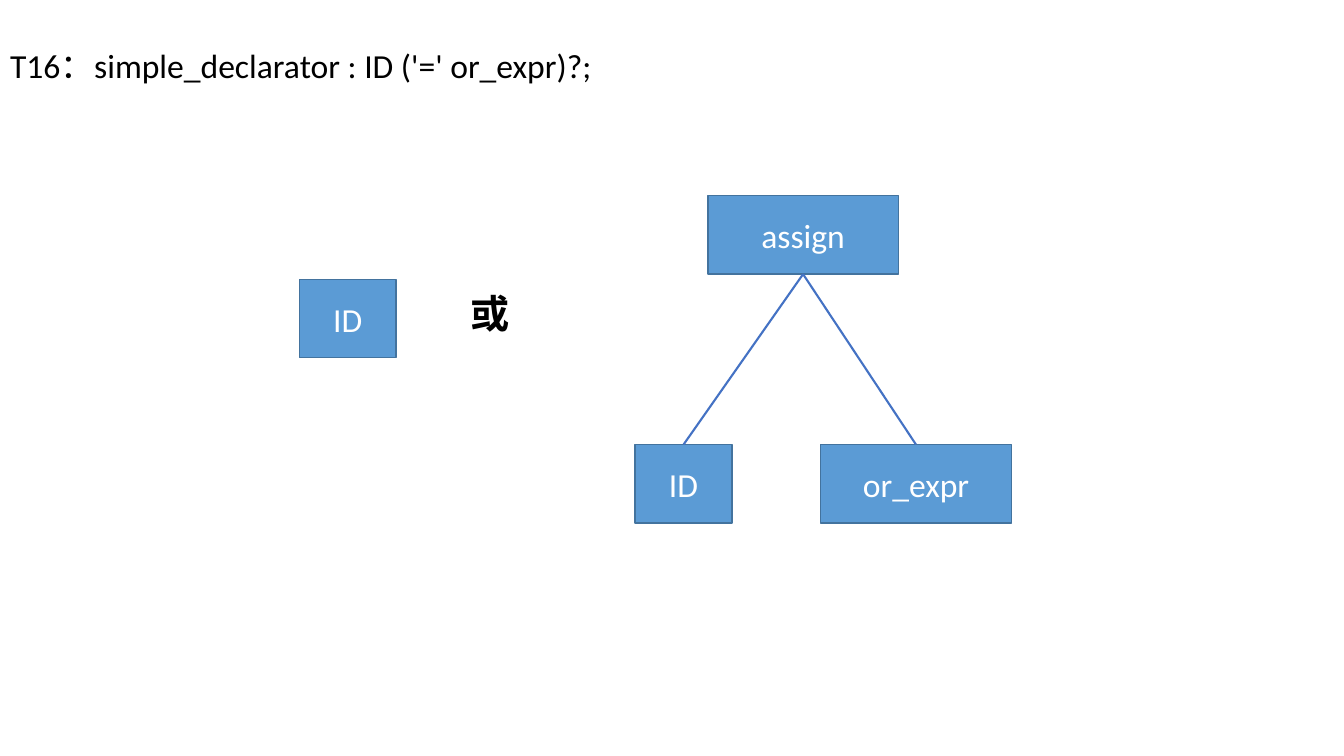
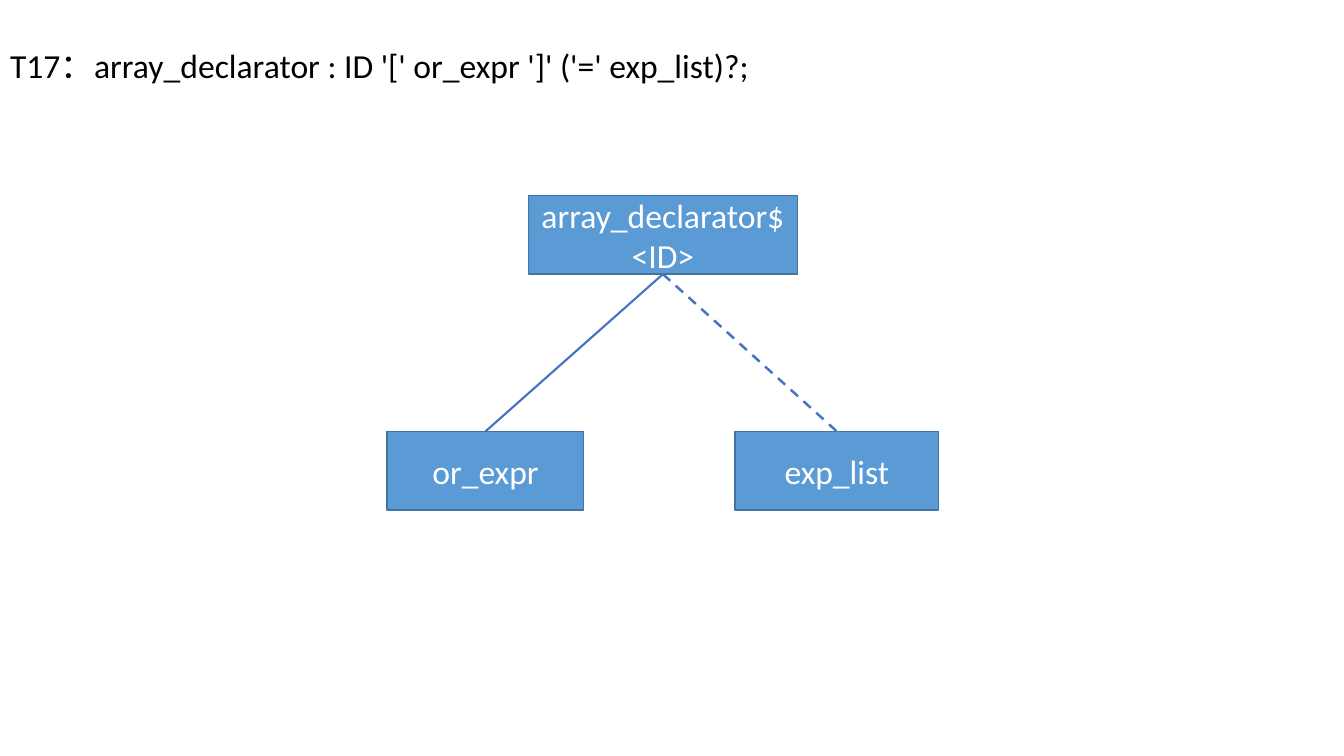
"""Build two slides of syntax-tree diagrams for grammar rules."""
import pptx
import pptx.dml.color
import pptx.enum.dml
import pptx.enum.shapes
import pptx.enum.text
import pptx.oxml
import pptx.oxml.ns
import pptx.util

WIDTH, HEIGHT = 13.33, 7.5
NODE_FILL, NODE_LINE, EDGE = "5B9BD5", "43739E", "4472C4"
BLACK, WHITE = "000000", "FFFFFF"
LATIN, CJK = "Calibri", "Noto Sans CJK SC"
NODE_HEIGHT = 0.78
ROOT_TOP = 1.94
ALIGN = pptx.enum.text.PP_ALIGN
ANCHOR = pptx.enum.text.MSO_ANCHOR


def rgb(value):
    """Return the colour of a hex string."""
    return pptx.dml.color.RGBColor.from_string(value)


def inches(*lengths):
    """Return lengths in inches as a list of EMU lengths."""
    return [pptx.util.Inches(length) for length in lengths]


def write(sp, text, size=24, color=BLACK, font=LATIN, bold=False,
          align=ALIGN.LEFT, anchor=ANCHOR.MIDDLE, wrap=True):
    """Write one formatted paragraph into a shape."""
    tf = sp.text_frame
    tf.word_wrap = wrap
    tf.auto_size = pptx.enum.text.MSO_AUTO_SIZE.NONE
    tf.vertical_anchor = anchor
    p = tf.paragraphs[0]
    p.alignment = align
    r = p.add_run()
    r.text = text
    r.font.size = pptx.util.Pt(size)
    r.font.bold = bold
    r.font.name = font
    r.font.color.rgb = rgb(color)
    ea = pptx.oxml.ns.qn("a:ea")
    r.font._element.makeelement(ea)
    r.font._element.find(pptx.oxml.ns.qn("a:latin")).addnext(
        r.font._element.makeelement(ea, {"typeface": CJK}))


def add_rule_slide(prs, rule):
    """Add a slide titled with a grammar rule."""
    slide = prs.slides.add_slide(prs.slide_layouts[5])
    title = slide.shapes.title
    title.left, title.top, title.width, title.height = inches(
        0, 0.4, 0.65 * WIDTH, 0.5)
    title.fill.solid()
    title.fill.fore_color.rgb = rgb(WHITE)
    title.line.color.rgb = rgb(WHITE)
    title.line.width = pptx.util.Pt(1)
    write(title, rule)
    return slide


def add_node(slide, text, left, top, width):
    """Add a tree node."""
    sp = slide.shapes.add_shape(
        pptx.enum.shapes.MSO_SHAPE.RECTANGLE,
        *inches(left, top, width, NODE_HEIGHT))
    sp.shadow.inherit = False
    sp.fill.solid()
    sp.fill.fore_color.rgb = rgb(NODE_FILL)
    sp.line.color.rgb = rgb(NODE_LINE)
    sp.line.width = pptx.util.Pt(1)
    write(sp, text, color=WHITE, align=ALIGN.CENTER)
    return sp


def add_edge(slide, parent, child, optional=False):
    """Join a parent's bottom to a child's top, dashed if optional."""
    line = slide.shapes.add_connector(
        pptx.enum.shapes.MSO_CONNECTOR.STRAIGHT, 0, 0, 0, 0)
    line.begin_connect(parent, 2)
    line.end_connect(child, 0)
    line.line.color.rgb = rgb(EDGE)
    line.line.width = pptx.util.Pt(1.75 if optional else 1.5)
    if optional:
        line.line.dash_style = pptx.enum.dml.MSO_LINE.DASH
    pr = line._element.spPr
    pr.append(pr.makeelement(pptx.oxml.ns.qn("a:effectLst")))


def add_tree(slide, root, children, child_top):
    """Add a root node with (text, left, width, optional) children."""
    text, left, width = root
    parent = add_node(slide, text, left, ROOT_TOP, width)
    for text, left, width, optional in children:
        child = add_node(slide, text, left, child_top, width)
        add_edge(slide, parent, child, optional)


def add_label(slide, text, left, top, width, height):
    """Add a bold label between alternatives."""
    sp = slide.shapes.add_textbox(*inches(left, top, width, height))
    write(sp, text, size=28, font=CJK, bold=True, anchor=ANCHOR.TOP, wrap=False)


def main():
    """Build and save the presentation."""
    prs = pptx.Presentation()
    prs.slide_width, prs.slide_height = inches(WIDTH, HEIGHT)

    slide = add_rule_slide(prs, "T16：simple_declarator : ID ('=' or_expr)?;")
    add_node(slide, "ID", 2.97, 2.77, 0.96)
    add_label(slide, "或", 4.57, 2.82, 0.59, 0.57)
    add_tree(slide, ("assign", 7.02, 1.89),
             [("ID", 6.3, 0.96, False), ("or_expr", 8.14, 1.89, False)], 4.41)

    slide = add_rule_slide(
        prs, "T17：array_declarator : ID '[' or_expr ']' ('=' exp_list)?;")
    add_tree(slide, ("array_declarator$<ID>", 5.24, 2.67),
             [("or_expr", 3.84, 1.95, False), ("exp_list", 7.29, 2.02, True)],
             4.28)

    prs.save("out.pptx")


if __name__ == "__main__":
    main()
